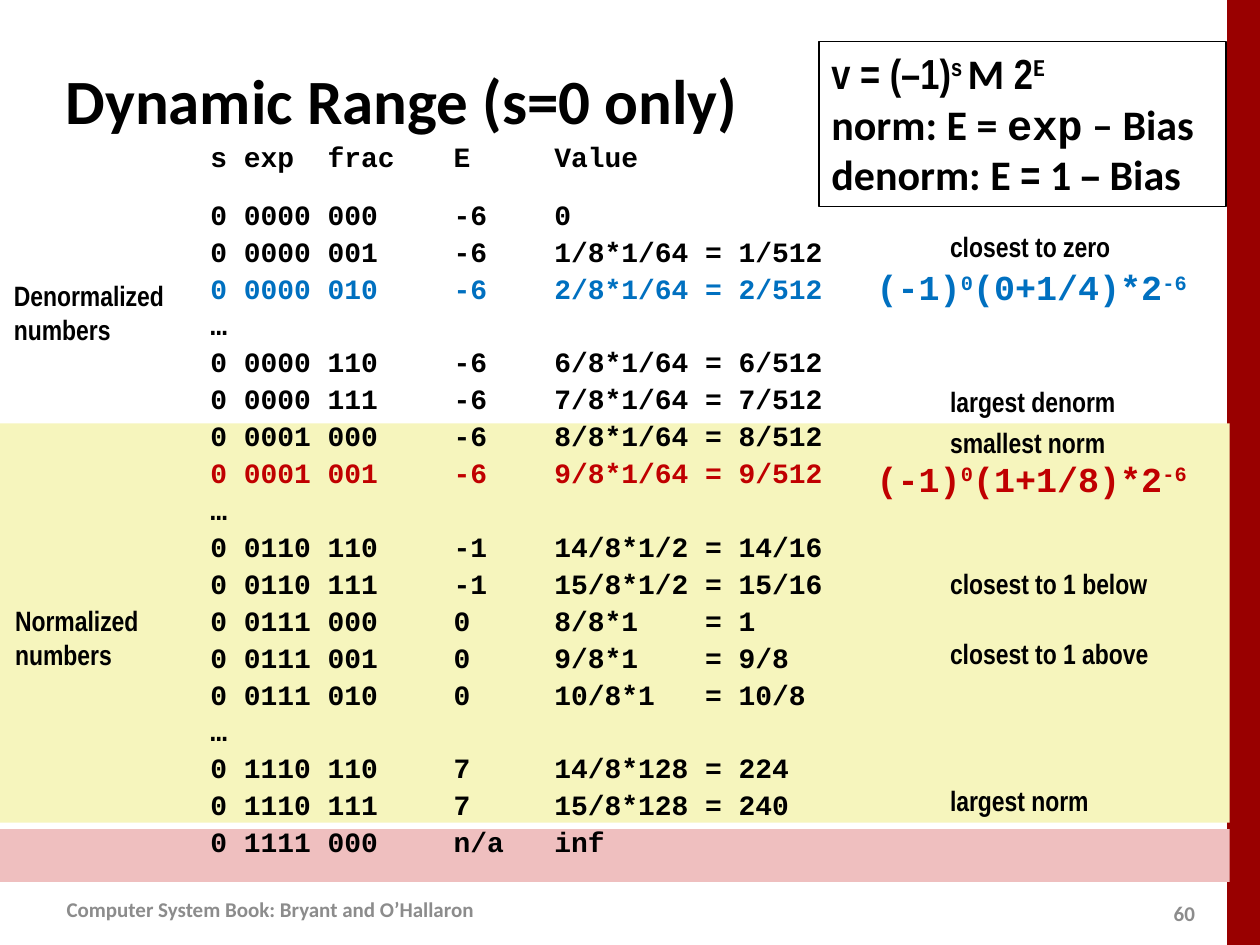
import pptx
import pptx.util
import pptx.dml.color
import pptx.enum.shapes
import pptx.enum.text
from dataclasses import dataclass
from lxml import etree


@dataclass(frozen=True)
class Theme:
    black: str = "000000"
    gray: str = "8C8C8C"
    blue: str = "0070C0"
    red: str = "C00000"
    bar: str = "990000"
    yellow: str = "F6F5BD"
    pink: str = "EFBFBF"
    sans: str = "Calibri"
    narrow: str = "Arial Narrow"
    mono: str = "Courier New"
    title: int = 36
    rule: int = 24
    formula: int = 20
    body: int = 16
    footer: int = 12


THEME = Theme()
WIDTH, HEIGHT = 10, 7.5
BAR_WIDTH = 0.26
BAND_WIDTH = 9.76
NOTE_LEFT, NOTE_HEIGHT = 7.5, 0.35
TABS = (1.93, 2.73)

# Content
TITLE = "Dynamic Range (s=0 only)"
FOOTER = "Computer System Book: Bryant and O’Hallaron"
PAGE_NUMBER = "60"

ROWS = [  # bits, E, value
    ("s exp  frac", "E", "Value"),
    ("0 0000 000", "-6", "0"),
    ("0 0000 001", "-6", "1/8*1/64 = 1/512"),
    ("0 0000 010", "-6", "2/8*1/64 = 2/512"),
    ("…",),
    ("0 0000 110", "-6", "6/8*1/64 = 6/512"),
    ("0 0000 111", "-6", "7/8*1/64 = 7/512"),
    ("0 0001 000", "-6", "8/8*1/64 = 8/512"),
    ("0 0001 001", "-6", "9/8*1/64 = 9/512"),
    ("…",),
    ("0 0110 110", "-1", "14/8*1/2 = 14/16"),
    ("0 0110 111", "-1", "15/8*1/2 = 15/16"),
    ("0 0111 000", "0", "8/8*1    = 1"),
    ("0 0111 001", "0", "9/8*1    = 9/8"),
    ("0 0111 010", "0", "10/8*1   = 10/8"),
    ("…",),
    ("0 1110 110", "7", "14/8*128 = 224"),
    ("0 1110 111", "7", "15/8*128 = 240"),
    ("0 1111 000", "n/a", "inf"),
]
ROW_COLORS = {"0 0000 010": THEME.blue, "0 0001 001": THEME.red}

NOTES = [  # text, top, width
    ("closest to zero", 1.78, 1.66),
    ("largest denorm", 3.01, 1.71),
    ("smallest norm", 3.34, 1.61),
    ("closest to 1 below", 4.46, 2.02),
    ("closest to 1 above", 5.01, 2.03),
    ("largest norm", 6.18, 1.44),
]
GROUPS = [  # lines, left, top, width
    (["Denormalized", "numbers"], 0.07, 2.17, 1.55),
    (["Normalized", "numbers"], 0.08, 4.75, 1.29),
]
BANDS = [  # top, height, color
    (6.58, 0.42, THEME.pink),
    (3.36, 3.17, THEME.yellow),
]
FORMULAS = [  # significand, top, color
    ("(0+1/4)*2", 2.06, THEME.blue),
    ("(1+1/8)*2", 3.58, THEME.red),
]
NARROW = {"face": THEME.narrow}
MONO = {"face": THEME.mono}
RULES = [
    [("v = (–1)", NARROW), ("s ", {**NARROW, "raised": 32}), ("M", {}),
     (" 2", NARROW), ("E", {"raised": 32})],
    [("norm: E = ", {}), ("exp", MONO), (" – Bias", {})],
    [("denorm: E", {}), (" = ", NARROW), ("1", {}), (" – ", NARROW), ("Bias", {})],
]


def rgb(color):
    return pptx.dml.color.RGBColor.from_string(color)


def place(left, top, width, height):
    return [pptx.util.Inches(length) for length in (left, top, width, height)]


def add_rectangle(slide, area, fill=None, line=None):
    box = slide.shapes.add_shape(pptx.enum.shapes.MSO_SHAPE.RECTANGLE, *place(*area))
    box.shadow.inherit = False
    if fill:
        box.fill.solid()
        box.fill.fore_color.rgb = rgb(fill)
    else:
        box.fill.background()
    if line:
        box.line.color.rgb = rgb(line)
        box.line.width = pptx.util.Pt(0.75)
    else:
        box.line.fill.background()
    return box


def style_span(span, face, size, color, raised=0):
    font = span.font
    font.name, font.size, font.bold = face, pptx.util.Pt(size), True
    font.color.rgb = rgb(color)
    if raised:
        span._r.get_or_add_rPr().set("baseline", str(raised * 1000))


def write(box, paragraphs, *, face=THEME.sans, size=THEME.body, color=THEME.black,
          inset=None, wrap=True, grow=False, middle=False, align="LEFT",
          spacing=None, gaps=None, tabs=(), colors=None):
    """Fill a shape; each paragraph is a string or a list of (text, overrides)."""
    frame = box.text_frame
    frame.word_wrap = wrap
    sizing = pptx.enum.text.MSO_AUTO_SIZE
    frame.auto_size = sizing.SHAPE_TO_FIT_TEXT if grow else sizing.NONE
    anchors = pptx.enum.text.MSO_ANCHOR
    frame.vertical_anchor = anchors.MIDDLE if middle else anchors.TOP
    if inset is not None:
        for side in ("left", "top", "right", "bottom"):
            setattr(frame, f"margin_{side}", pptx.util.Inches(inset))
    for index, content in enumerate(paragraphs):
        para = frame.add_paragraph() if index else frame.paragraphs[0]
        para.alignment = getattr(pptx.enum.text.PP_ALIGN, align)
        if spacing:
            para.line_spacing = spacing
        if gaps and index in gaps:
            para.space_before = pptx.util.Pt(gaps[index])
        if tabs:
            properties = para._p.get_or_add_pPr()
            space = properties.nsmap["a"]
            stops = etree.SubElement(properties, f"{{{space}}}tabLst")
            for stop in tabs:
                etree.SubElement(stops, f"{{{space}}}tab",
                                 pos=str(pptx.util.Inches(stop)), algn="l")
        base = {"face": face, "size": size, "color": (colors or {}).get(index, color)}
        for text, overrides in [(content, {})] if isinstance(content, str) else content:
            span = para.add_run()
            span.text = text
            style_span(span, **{**base, **overrides})


def add_text(slide, area, paragraphs, **style):
    write(slide.shapes.add_textbox(*place(*area)), paragraphs, **style)


def main():
    deck = pptx.Presentation()
    deck.slide_width, deck.slide_height = pptx.util.Inches(WIDTH), pptx.util.Inches(HEIGHT)
    slide = deck.slides.add_slide(deck.slide_layouts[5])

    # Side bar, page number and colored bands
    add_rectangle(slide, (WIDTH - BAR_WIDTH, 0, BAR_WIDTH, HEIGHT), fill=THEME.bar)
    add_text(slide, (9.2, 7.1, 0.4, 0.3), [PAGE_NUMBER], size=THEME.footer,
             color=THEME.gray, middle=True, align="CENTER")
    for top, height, color in BANDS:
        add_rectangle(slide, (0, top, BAND_WIDTH, height), fill=color)

    # Tabbed listing of bit patterns
    add_text(slide, (1.67, 1.08, 5.08, 6.08), ["\t".join(row) for row in ROWS],
             face=THEME.mono, inset=0, spacing=1.1, gaps={1: 12}, tabs=TABS,
             colors={index: ROW_COLORS[row[0]] for index, row in enumerate(ROWS)
                     if row[0] in ROW_COLORS})

    # Title
    title = slide.shapes.title
    title.left, title.top, title.width, title.height = place(0.42, 0.28, 9.17, 1.01)
    write(title, [TITLE], size=THEME.title, middle=True)

    # Notes on the right, group names on the left
    label = {"face": THEME.narrow, "inset": 0.04, "wrap": False, "grow": True}
    for text, top, width in NOTES:
        add_text(slide, (NOTE_LEFT, top, width, NOTE_HEIGHT), [text], **label)
    for lines, left, top, width in GROUPS:
        add_text(slide, (left, top, width, 0.62), lines, **label)

    # Rule box and worked formulas
    rule_box = add_rectangle(slide, (6.5, 0.33, 3.23, 1.31), line=THEME.black)
    write(rule_box, RULES, size=THEME.rule, grow=True)
    power = {"raised": 30}
    for significand, top, color in FORMULAS:
        formula = [("(-1)", {}), ("0", power), (significand, {}), ("-6", power)]
        add_text(slide, (6.86, top, 2.73, 0.44), [formula], face=THEME.mono,
                 size=THEME.formula, color=color, wrap=False, grow=True)

    # Footer
    add_text(slide, (0.43, 6.98, 4.17, 0.47), [FOOTER], size=THEME.footer,
             color=THEME.gray, middle=True)
    deck.save("out.pptx")


if __name__ == "__main__":
    main()
